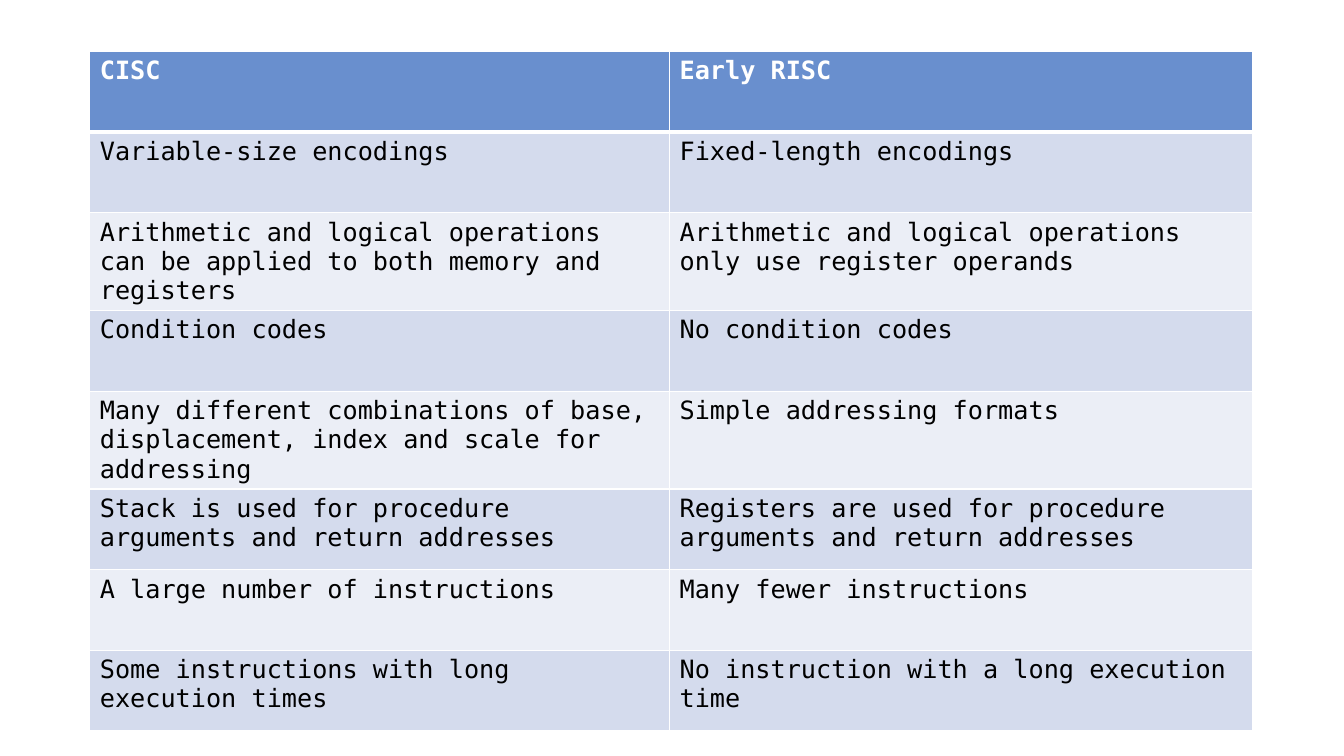
from lxml import etree
from pptx import Presentation
from pptx.dml.color import RGBColor
from pptx.oxml.ns import qn
from pptx.util import Inches, Pt

BLANK_LAYOUT = 6
COLUMN_WIDTHS = [5.75, 5.78]
ROW_HEIGHTS = [0.8, 0.8, 0.85, 0.8, 0.8, 0.8, 0.8, 0.8]
COMPARISON = [
    ("CISC", "Early RISC"),
    ("Variable-size encodings", "Fixed-length encodings"),
    ("Arithmetic and logical operations can be applied to both memory and registers",
     "Arithmetic and logical operations only use register operands"),
    ("Condition codes", "No condition codes"),
    ("Many different combinations of base, displacement, index and scale for addressing",
     "Simple addressing formats"),
    ("Stack is used for procedure arguments and return addresses",
     "Registers are used for procedure arguments and return addresses"),
    ("A large number of instructions", "Many fewer instructions"),
    ("Some instructions with long execution times",
     "No instruction with a long execution time"),
]


def color(value):
    return RGBColor.from_string(value)


class SlideBuilder:
    font = "DejaVu Sans Mono"
    size = 18
    header_fill = "698FCE"
    band_fills = ("EBEEF6", "D4DBED")
    header_text = "FFFFFF"
    body_text = "000000"
    border = "FFFFFF"
    thin, thick = 1, 3

    def __init__(self, prs):
        self.s = prs.slides.add_slide(prs.slide_layouts[BLANK_LAYOUT])

    def borders(self, cell, row):
        """Draw thin borders, with a thick rule below the header row."""
        tc_pr = cell._tc.get_or_add_tcPr()
        widths = {
            "a:lnL": self.thin,
            "a:lnR": self.thin,
            "a:lnT": self.thick if row == 1 else self.thin,
            "a:lnB": self.thick if row == 0 else self.thin,
        }
        for tag, width in widths.items():
            ln = etree.SubElement(tc_pr, qn(tag), w=str(Pt(width)))
            fill = etree.SubElement(ln, qn("a:solidFill"))
            etree.SubElement(fill, qn("a:srgbClr"), val=self.border)

    def cell(self, cell, text, row):
        header = row == 0
        self.borders(cell, row)
        cell.fill.solid()
        cell.fill.fore_color.rgb = color(
            self.header_fill if header else self.band_fills[row % 2])
        p = cell.text_frame.paragraphs[0]
        p.text = text
        p.font.name = self.font
        p.font.size = Pt(self.size)
        p.font.bold = header
        p.font.color.rgb = color(self.header_text if header else self.body_text)

    def table(self, left, top, widths, heights, rows):
        table = self.s.shapes.add_table(
            len(rows), len(widths), Inches(left), Inches(top),
            Inches(sum(widths)), Inches(sum(heights))).table
        for column, width in zip(table.columns, widths):
            column.width = Inches(width)
        for i, (height, texts) in enumerate(zip(heights, rows)):
            table.rows[i].height = Inches(height)
            for j, text in enumerate(texts):
                self.cell(table.cell(i, j), text, i)


def main():
    prs = Presentation()
    prs.slide_width, prs.slide_height = Inches(13.33), Inches(7.5)

    # Comparison table
    slide = SlideBuilder(prs)
    slide.table(0.89, 0.51, COLUMN_WIDTHS, ROW_HEIGHTS, COMPARISON)

    prs.save("out.pptx")


if __name__ == "__main__":
    main()
